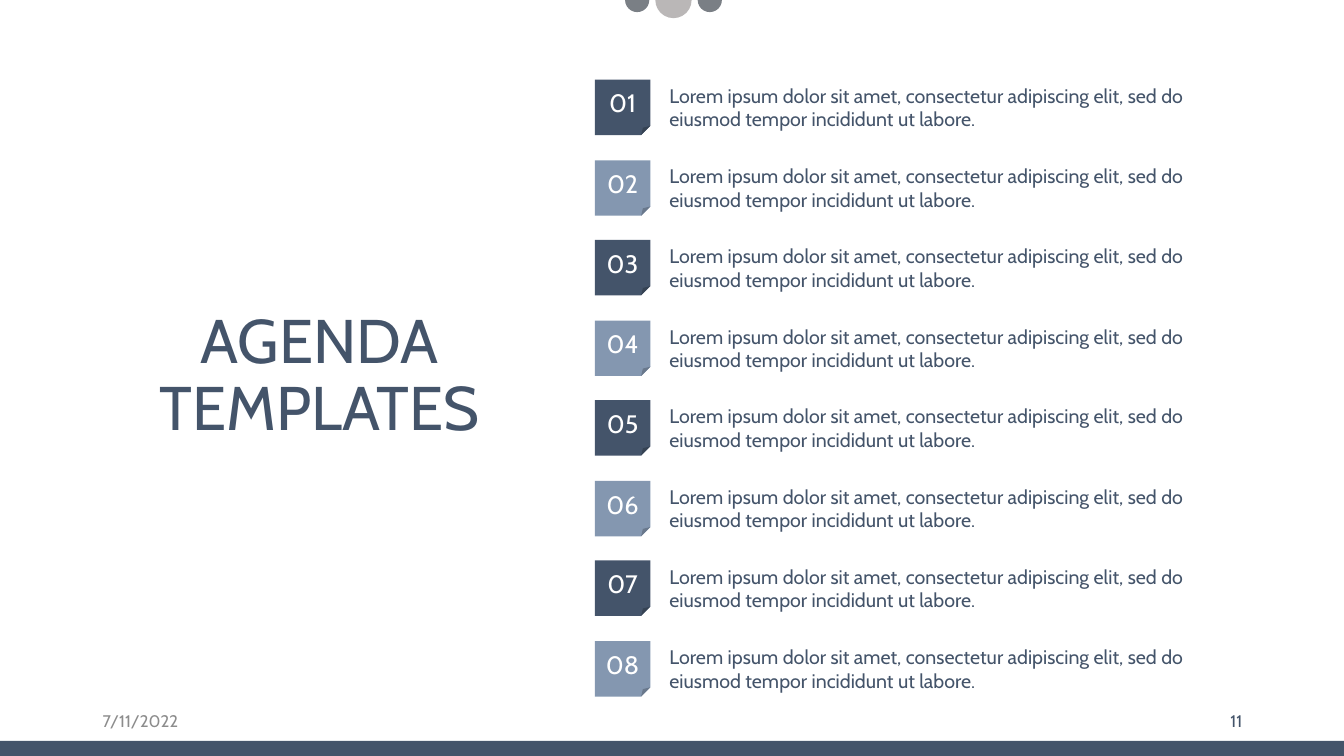
from lxml import etree
from pptx import Presentation
from pptx.dml.color import RGBColor
from pptx.enum.shapes import MSO_SHAPE
from pptx.enum.text import MSO_ANCHOR, MSO_AUTO_SIZE, PP_ALIGN
from pptx.oxml.ns import qn
from pptx.util import Emu, Pt

RECTANGLE, OVAL, FOLDED = MSO_SHAPE.RECTANGLE, MSO_SHAPE.OVAL, MSO_SHAPE.FOLDED_CORNER
LEFT, CENTER, RIGHT = PP_ALIGN.LEFT, PP_ALIGN.CENTER, PP_ALIGN.RIGHT
TOP, MIDDLE = MSO_ANCHOR.TOP, MSO_ANCHOR.MIDDLE
FIT_SHAPE = MSO_AUTO_SIZE.SHAPE_TO_FIT_TEXT

PX = 9144
FONT = "Cabin"
COLORS = {
    "navy": "44546A",
    "steel": "8497B0",
    "dark": "222A35",
    "silver": "AFABAB",
    "gray": "8C8C8C",
    "white": "FFFFFF",
}
AGENDA_COUNT = 8
AGENDA_TEXT = (
    "Lorem ipsum dolor sit amet, consectetur adipiscing elit, "
    "sed do eiusmod tempor incididunt ut labore."
)


def px(*lengths):
    return [Emu(length * PX) for length in lengths]


def write(shape, text, size, color, align=LEFT, anchor=TOP):
    frame = shape.text_frame
    frame.word_wrap = True
    frame.vertical_anchor = anchor
    paragraph = frame.paragraphs[0]
    paragraph.text = text
    paragraph.alignment = align
    paragraph.font.name = FONT
    paragraph.font.size = Pt(size)
    paragraph.font.color.rgb = RGBColor.from_string(COLORS[color])
    return frame


def add_filled(shapes, kind, box, color, opacity=100):
    shape = shapes.add_shape(kind, *px(*box))
    shape.shadow.inherit = False
    shape.line.fill.background()
    shape.fill.solid()
    shape.fill.fore_color.rgb = RGBColor.from_string(COLORS[color])
    if opacity < 100:
        srgb = shape.fill._xPr.find(".//" + qn("a:srgbClr"))
        etree.SubElement(srgb, qn("a:alpha")).set("val", str(opacity * 1000))
    return shape


def add_title(slide, box):
    title = slide.shapes.title
    title.left, title.top, title.width, title.height = px(*box)
    frame = write(title, "AGENDA TEMPLATES", 44, "navy", CENTER)
    frame.auto_size = FIT_SHAPE
    frame.paragraphs[0].line_spacing = 0.9


def add_footer(slide, box):
    left, top, width, height = box
    field_width = 300
    date = slide.shapes.add_textbox(*px(left, top, field_width, height))
    write(date, "7/11/2022", 12, "gray", LEFT, MIDDLE)
    number_left = left + width - field_width
    page_number = slide.shapes.add_textbox(*px(number_left, top, field_width, height))
    write(page_number, "11", 12, "navy", RIGHT, MIDDLE)


def add_top_dots(slide, box):
    left, top, width, height = box
    dots = slide.shapes.add_group_shape().shapes
    small = 24
    small_top = top + (height - small) // 2
    for dot_left in (left, left + width - small):
        add_filled(dots, OVAL, (dot_left, small_top, small, small), "dark", 60)
    add_filled(dots, OVAL, (left + (width - height) // 2, top, height, height), "silver", 85)


def add_agenda_item(slide, box, number, color):
    left, top, width, height = box
    badge = add_filled(slide.shapes, FOLDED, (left, top, height, height), color)
    write(badge, f"{number:02}", 18, "white", CENTER, MIDDLE)
    text_offset = 74
    description = slide.shapes.add_textbox(
        *px(left + text_offset, top + 4, width - text_offset, height - 8)
    )
    frame = write(description, AGENDA_TEXT, 14, "navy")
    frame.margin_left = frame.margin_top = frame.margin_right = frame.margin_bottom = 0
    frame.auto_size = FIT_SHAPE


def add_agenda(slide, box):
    left, top, width, height = box
    item_height = 55
    for index in range(AGENDA_COUNT):
        offset = round(index * (height - item_height) / (AGENDA_COUNT - 1))
        color = ("navy", "steel")[index % 2]
        add_agenda_item(slide, (left, top + offset, width, item_height), index + 1, color)


def main():
    presentation = Presentation()
    presentation.slide_width, presentation.slide_height = px(1333, 750)
    slide = presentation.slides.add_slide(presentation.slide_layouts[5])
    add_title(slide, (128, 303, 378, 143))
    add_footer(slide, (92, 695, 1150, 40))
    add_filled(slide.shapes, RECTANGLE, (0, 735, 1333, 15), "navy")
    add_top_dots(slide, (620, -18, 96, 36))
    add_agenda(slide, (590, 79, 638, 612))
    presentation.save("out.pptx")


if __name__ == "__main__":
    main()
